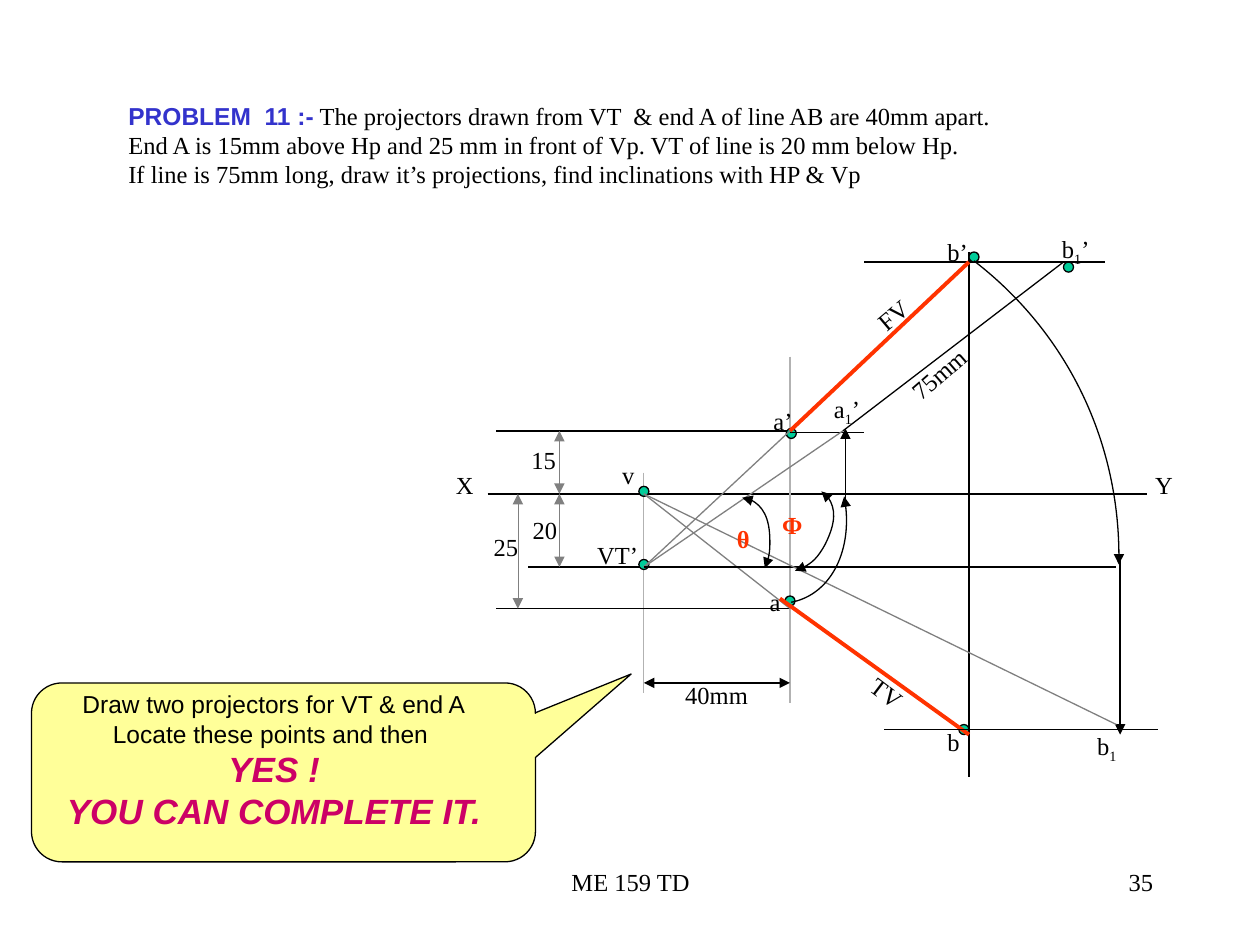
import pptx
import pptx.util
import pptx.dml.color
import pptx.enum.shapes
import pptx.enum.text
import pptx.oxml

Inches = pptx.util.Inches
Pt = pptx.util.Pt
RGBColor = pptx.dml.color.RGBColor
SHAPE = pptx.enum.shapes.MSO_SHAPE
ALIGN = pptx.enum.text.PP_ALIGN
FIT = pptx.enum.text.MSO_AUTO_SIZE

BLACK = RGBColor(0x00, 0x00, 0x00)
GRAY = RGBColor(0x80, 0x80, 0x80)
SILVER = RGBColor(0xB2, 0xB2, 0xB2)
RED = RGBColor(0xFF, 0x33, 0x00)
GREEN = RGBColor(0x00, 0xCC, 0x99)
BLUE = RGBColor(0x33, 0x33, 0xCC)
YELLOW = RGBColor(0xFF, 0xFF, 0x99)
MAGENTA = RGBColor(0xCC, 0x00, 0x66)
SERIF = "Times New Roman"

prs = pptx.Presentation()
prs.slide_width, prs.slide_height = Inches(10), Inches(7.5)
slide = prs.slides.add_slide(prs.slide_layouts[6])
shapes = slide.shapes


def style_line(shape, color, width, ends):
    shape.line.color.rgb = color
    shape.line.width = Pt(width)
    props = shape.line._get_or_add_ln()
    for end in ends:
        arrow = pptx.oxml.parse_xml(
            '<a:%s xmlns:a="http://schemas.openxmlformats.org/drawingml/2006/main" type="triangle"/>' % end)
        props.append(arrow)


def add_text(left, top, width, height, lines, color=BLACK, bold=False, angle=0,
             align=ALIGN.LEFT, wrap=False):
    box = shapes.add_textbox(Inches(left), Inches(top), Inches(width), Inches(height))
    box.rotation = angle
    frame = box.text_frame
    frame.word_wrap = wrap
    frame.auto_size = FIT.NONE if wrap else FIT.SHAPE_TO_FIT_TEXT
    for i, line in enumerate(lines):
        paragraph = frame.paragraphs[0] if i == 0 else frame.add_paragraph()
        paragraph.alignment = align
        font = paragraph.font
        font.size, font.name, font.bold = Pt(14), SERIF, bold
        font.color.rgb = color
        for j, piece in enumerate(line.split("_")):
            run = paragraph.add_run()
            run.text = piece
            if j == 1:
                run.font._element.set("baseline", "-25000")
    return frame


problem = add_text(0.92, 0.75, 7.08, 0.8, [
    "PROBLEM  11 :-_ The projectors drawn from VT  & end A of line AB are 40mm apart.",
    "End A is 15mm above Hp and 25 mm in front of Vp. VT of line is 20 mm below Hp.",
    "If line is 75mm long, draw it’s projections, find inclinations with HP & Vp",
])
heading, statement = problem.paragraphs[0].runs
heading.font.name, heading.font.bold = "Arial", True
heading.font.color.rgb = BLUE
statement.font._element.attrib.pop("baseline")

VT_X, A_X, B_X, B1_X = 5.11, 6.27, 7.69, 8.89
A_FRONT, XY, VT_Y, A_TOP, B_FRONT, B_TOP = 3.42, 3.92, 4.5, 4.83, 2.08, 5.79
BOTH = ("headEnd", "tailEnd")
TAIL = ("tailEnd",)

construction = [
    (3.87, XY, 9.1, XY, BLACK, 0.75, ()),
    (VT_X, 3.75, VT_X, 5.5, SILVER, 0.75, ()),
    (A_X, 2.83, A_X, 5.58, SILVER, 0.75, ()),
    (VT_X, 5.42, A_X, 5.42, BLACK, 0.75, BOTH),
    (A_X, A_FRONT, 3.94, A_FRONT, BLACK, 0.75, ()),
    (VT_X, VT_Y, 4.19, VT_Y, BLACK, 0.75, ()),
    (A_X, A_TOP, 3.94, A_TOP, BLACK, 0.75, ()),
    (4.44, A_FRONT, 4.44, XY, GRAY, 0.25, BOTH),
    (4.44, XY, 4.44, VT_Y, GRAY, 0.25, BOTH),
    (4.11, XY, 4.11, A_TOP, GRAY, 0.25, BOTH),
    (8.77, B_FRONT, 6.86, B_FRONT, BLACK, 0.75, ()),
    (B_X, 2, B_X, 6.17, BLACK, 0.75, ()),
]
views = [
    (VT_X, VT_Y, A_X, A_FRONT, GRAY, 0.75, ()),
    (VT_X, XY, A_X, A_TOP, GRAY, 0.75, ()),
    (6.71, 3.98, 6.71, 3.4, BLACK, 0.75, TAIL),
    (A_X, 3.43, 6.86, 3.43, BLACK, 0.75, ()),
    (VT_X, VT_Y, 6.69, A_FRONT, GRAY, 0.75, ()),
    (6.19, 4.75, B_X, 5.83, RED, 2.25, ()),
    (A_X, A_FRONT, B_X, B_FRONT, RED, 2.25, ()),
    (6.69, A_FRONT, 8.44, B_FRONT, BLACK, 0.75, ()),
    (VT_X, VT_Y, 8.86, VT_Y, BLACK, 0.75, ()),
    (7.02, B_TOP, 9.19, B_TOP, BLACK, 0.75, ()),
    (B1_X, 4.42, B1_X, 5.83, BLACK, 0.75, TAIL),
    (VT_X, XY, 8.86, 5.75, GRAY, 0.75, ()),
]
points = [(5.07, 4.44), (5.07, 3.86), (6.23, 4.73), (6.24, 3.4),
          (8.44, 2.08), (7.69, 2), (7.61, 5.75)]

for layer, dots in ((construction, points), (views, [])):
    for x1, y1, x2, y2, color, width, ends in layer:
        segment = shapes.add_connector(pptx.enum.shapes.MSO_CONNECTOR.STRAIGHT,
                                       Inches(x1), Inches(y1), Inches(x2), Inches(y2))
        style_line(segment, color, width, ends)
        segment._element.spPr.append(pptx.oxml.parse_xml(
            '<a:effectLst xmlns:a="http://schemas.openxmlformats.org/drawingml/2006/main"/>'))
    for left, top in dots:
        dot = shapes.add_shape(SHAPE.OVAL, Inches(left), Inches(top), Inches(0.08), Inches(0.08))
        dot.shadow.inherit = False
        dot.fill.solid()
        dot.fill.fore_color.rgb = GREEN
        style_line(dot, BLACK, 0.75, ())

arcs = [
    ([(6.28, 4.78), (6.59, 4.72), (6.78, 4.34), (6.7, 3.94)], TAIL),
    ([(7.73, 2.07), (8.47, 2.64), (8.9, 3.54), (8.88, 4.48)], TAIL),
    ([(5.89, 3.95), (6.01, 3.95), (6.11, 4.1), (6.11, 4.3),
      (6.11, 4.37), (6.1, 4.45), (6.07, 4.51)], BOTH),
    ([(6.52, 3.9), (6.63, 3.96), (6.64, 4.14), (6.55, 4.32),
      (6.49, 4.43), (6.4, 4.51), (6.31, 4.53)], BOTH),
]
for controls, ends in arcs:
    start, *rest = [(Inches(x), Inches(y)) for x, y in controls]
    builder = shapes.build_freeform(*start)
    builder.add_line_segments(rest, close=False)
    arc = builder.convert_to_shape()
    arc.shadow.inherit = False
    arc.fill.background()
    style_line(arc, BLACK, 0.75, ends)
    steps = arc._element.xpath(".//a:lnTo")
    for i in range(0, len(steps), 3):
        curve = pptx.oxml.parse_xml(
            '<a:cubicBezTo xmlns:a="http://schemas.openxmlformats.org/drawingml/2006/main"/>')
        steps[i].addprevious(curve)
        for step in steps[i:i + 3]:
            curve.append(step[0])
            step.getparent().remove(step)

labels = [
    ("X", 3.52, 3.68, 0.34, 0), ("Y", 9.07, 3.68, 0.34, 0),
    ("40mm", 5.34, 5.35, 0.7, 0), ("15", 4.12, 3.48, 0.4, 0),
    ("20", 4.13, 4.04, 0.4, 0), ("25", 3.82, 4.17, 0.4, 0),
    ("v", 4.84, 3.6, 0.3, 0), ("VT’", 4.64, 4.24, 0.55, 0),
    ("a’", 6.04, 3.17, 0.35, 0), ("a", 6.01, 4.61, 0.29, 0),
    ("a_1_’", 6.52, 3.08, 0.41, 0), ("b_1_’", 8.33, 1.81, 0.43, 0),
    ("b’", 7.42, 1.83, 0.36, 0), ("b", 7.42, 5.72, 0.3, 0),
    ("b_1", 8.61, 5.75, 0.36, 0), ("TV", 6.81, 5.33, 0.46, 37.1),
    ("FV", 6.86, 2.33, 0.45, 319.9), ("75mm", 7.1, 2.8, 0.7, 319),
]
for label, left, top, width, angle in labels:
    add_text(left, top, width, 0.33, [label], angle=angle)
add_text(5.75, 4.11, 0.3, 0.33, ["θ"], RED, True)
add_text(6.11, 4, 0.35, 0.33, ["Φ"], RED, True)

callout = shapes.add_shape(SHAPE.ROUNDED_RECTANGULAR_CALLOUT,
                           Inches(0.25), Inches(5.42), Inches(4), Inches(1.42))
callout.shadow.inherit = False
callout.fill.solid()
callout.fill.fore_color.rgb = YELLOW
style_line(callout, BLACK, 0.75, ())
for i, value in enumerate((0.69, -0.55, 0.17)):
    callout.adjustments[i] = value

advice = add_text(0.42, 5.42, 3.51, 1.23, [
    "Draw two projectors for VT & end A", "Locate these points and then ",
    "YES !", "YOU CAN COMPLETE IT."], align=ALIGN.CENTER)
for paragraph in advice.paragraphs:
    paragraph.font.name = "Arial"
for paragraph in advice.paragraphs[2:]:
    font = paragraph.font
    font.size, font.bold, font.italic = Pt(20), True, True
    font.color.rgb = MAGENTA

add_text(7.17, 6.83, 2.08, 0.5, ["35"], align=ALIGN.RIGHT, wrap=True)
add_text(3.42, 6.83, 3.17, 0.5, ["ME 159 TD"], align=ALIGN.CENTER, wrap=True)

prs.save("out.pptx")
